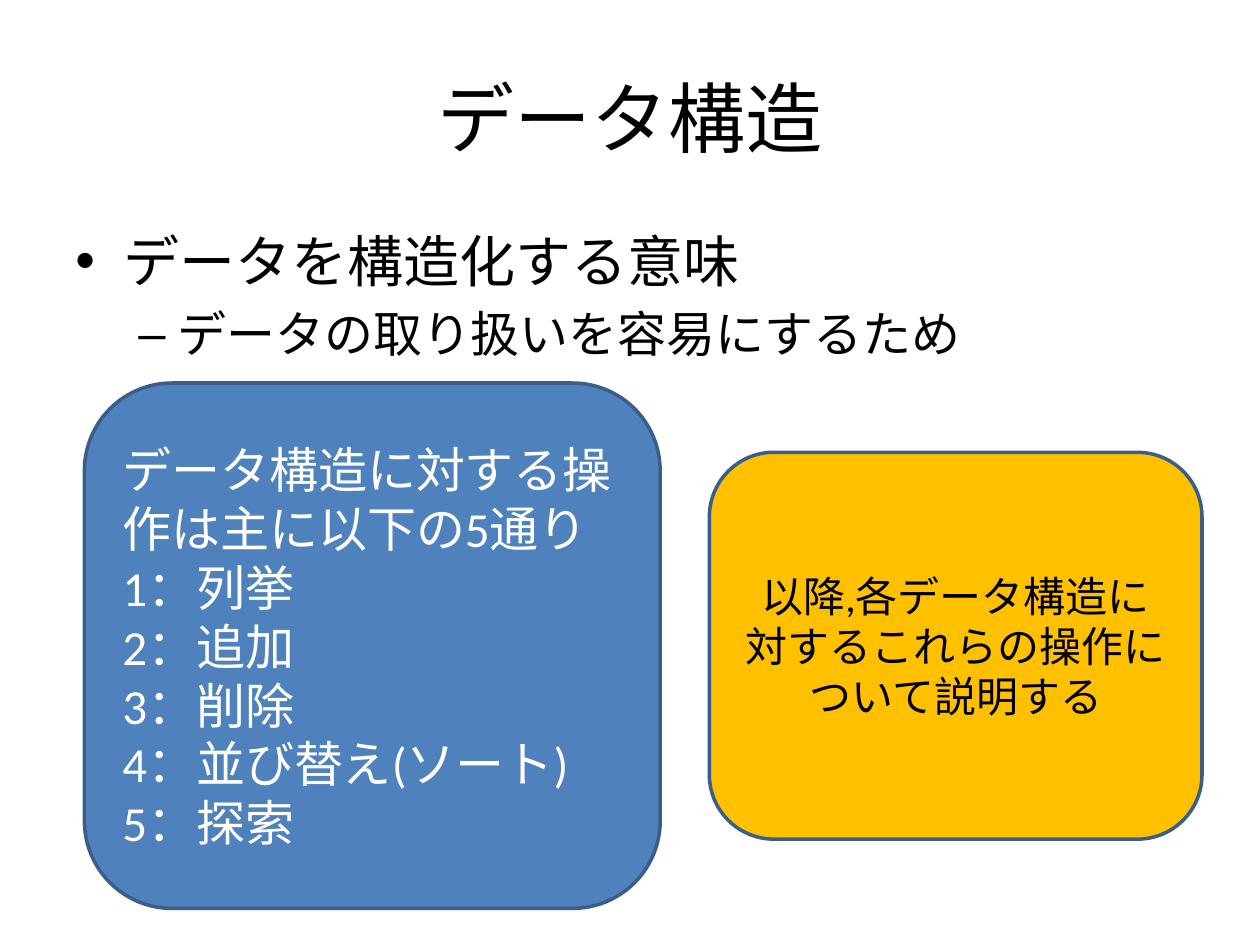
from dataclasses import dataclass

from lxml.etree import SubElement
from pptx import Presentation
from pptx.dml.color import RGBColor
from pptx.enum.shapes import MSO_SHAPE as Shape
from pptx.enum.text import MSO_ANCHOR as Anchor, PP_ALIGN as Align
from pptx.oxml.ns import qn
from pptx.util import Inches, Pt


@dataclass(frozen=True)
class Theme:
    font: str = "Calibri"
    black: RGBColor = RGBColor(0x00, 0x00, 0x00)
    white: RGBColor = RGBColor(0xFF, 0xFF, 0xFF)
    blue: RGBColor = RGBColor(0x4F, 0x81, 0xBD)
    amber: RGBColor = RGBColor(0xFF, 0xC0, 0x00)
    outline: RGBColor = RGBColor(0x39, 0x5E, 0x89)
    title: int = 44
    heading: int = 32
    detail: int = 28
    remark: int = 24


@dataclass(frozen=True)
class Area:
    left: float
    top: float
    width: float
    height: float

    def lengths(self) -> list:
        return [Inches(n) for n in (self.left, self.top, self.width, self.height)]


@dataclass(frozen=True)
class Line:
    text: str
    size: int
    color: RGBColor
    align: Align = Align.LEFT
    bullet: str = ""
    indent: float = 0
    hanging: float = 0
    level: int = 0
    before: float = 0


@dataclass(frozen=True)
class Panel:
    area: Area
    fill: RGBColor
    lines: list[Line]


THEME = Theme()
OPERATIONS = ["列挙", "追加", "削除", "並び替え(ソート)", "探索"]

TITLE = Line("データ構造", THEME.title, THEME.black, Align.CENTER)
BODY = [
    Line("データを構造化する意味", THEME.heading, THEME.black,
         bullet="•", indent=0.38, hanging=0.38),
    Line("データの取り扱いを容易にするため", THEME.detail, THEME.black,
         bullet="–", indent=0.81, hanging=0.31, level=1, before=5.6),
]
OPERATION_TEXTS = ["データ構造に対する操作は主に以下の5通り"] + [
    f"{number}：{name}" for number, name in enumerate(OPERATIONS, 1)
]
PANELS = [
    Panel(Area(5.63, 3.59, 3.91, 3.07), THEME.amber,
          [Line("以降,各データ構造に対するこれらの操作について説明する",
                THEME.remark, THEME.black, Align.CENTER)]),
    Panel(Area(0.67, 3.04, 4.57, 4.17), THEME.blue,
          [Line(text, THEME.detail, THEME.white) for text in OPERATION_TEXTS]),
]


def set_bullet(para, line: Line) -> None:
    """Give a paragraph its bullet character and hanging indent."""
    props = para._p.get_or_add_pPr()
    props.set("marL", str(Inches(line.indent)))
    props.set("indent", str(-Inches(line.hanging)))
    SubElement(props, qn("a:buFont")).set("typeface", "Arial")
    SubElement(props, qn("a:buChar")).set("char", line.bullet)


def write_lines(frame, lines: list[Line], anchor: Anchor) -> None:
    """Fill a text frame with one paragraph per line."""
    frame.word_wrap = True
    frame.vertical_anchor = anchor
    for index, line in enumerate(lines):
        para = frame.add_paragraph() if index else frame.paragraphs[0]
        para.text = line.text
        para.alignment = line.align
        para.level = line.level
        para.space_before = Pt(line.before)
        para.font.name = THEME.font
        para.font.size = Pt(line.size)
        para.font.color.rgb = line.color
        if line.bullet:
            set_bullet(para, line)


def add_text(slide, area: Area, lines: list[Line], anchor: Anchor) -> None:
    """Add a plain text box."""
    box = slide.shapes.add_textbox(*area.lengths())
    write_lines(box.text_frame, lines, anchor)


def add_panel(slide, panel: Panel) -> None:
    """Add a filled rounded rectangle with text."""
    box = slide.shapes.add_shape(Shape.ROUNDED_RECTANGLE, *panel.area.lengths())
    box.shadow.inherit = False
    box.fill.solid()
    box.fill.fore_color.rgb = panel.fill
    box.line.color.rgb = THEME.outline
    box.line.width = Pt(2)
    write_lines(box.text_frame, panel.lines, Anchor.MIDDLE)


def main() -> None:
    """Build and save the slide."""
    deck = Presentation()
    deck.slide_width, deck.slide_height = Inches(10), Inches(7.5)
    slide = deck.slides.add_slide(deck.slide_layouts[6])
    add_text(slide, Area(0.5, 0.3, 9, 1.25), [TITLE], Anchor.MIDDLE)
    add_text(slide, Area(0.5, 1.75, 9, 4.95), BODY, Anchor.TOP)
    for panel in PANELS:
        add_panel(slide, panel)
    deck.save("out.pptx")


if __name__ == "__main__":
    main()
